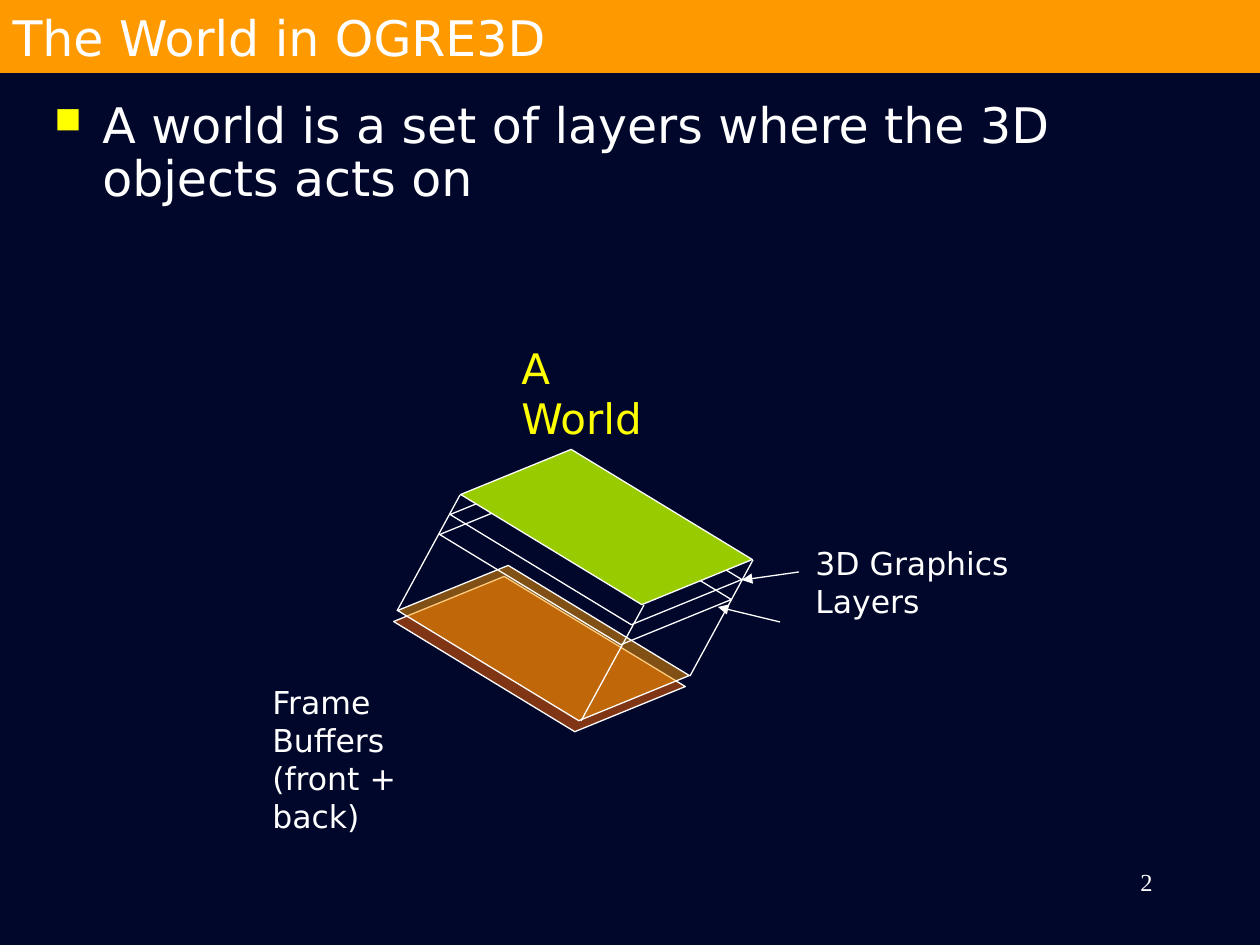
"""Builds a slide that shows a 3D world as a stack of layers."""
from pptx import Presentation, util as u
from pptx.dml.color import RGBColor
from pptx.enum import shapes, text
from pptx.oxml.ns import qn
from lxml import etree

WHITE, YELLOW, ORANGE = "FFFFFF", "FFFF00", "FF9900"


def px(n):
    return u.Emu(round(n * 914400 / 126))


def rgb(code):
    return RGBColor.from_string(code)


def add(node, tag, **attrs):
    return etree.SubElement(node, qn(tag), attrs)


def write(shape, words, size=18, color=WHITE, font="DejaVu Sans",
          align=text.PP_ALIGN.LEFT, anchor=text.MSO_ANCHOR.TOP, before=0, line=None):
    frame = shape.text_frame
    frame.text = words
    frame.word_wrap = True
    frame.auto_size = text.MSO_AUTO_SIZE.NONE
    frame.vertical_anchor = anchor
    for para in frame.paragraphs:
        para.alignment = align
        para.space_before = u.Pt(before)
        para.line_spacing = line
        para.font.size = u.Pt(size)
        para.font.name = font
        para.font.color.rgb = rgb(color)
    return frame


class Board:
    def __init__(self, deck, back):
        self.slide = deck.slides.add_slide(deck.slide_layouts[5])
        self.items = self.slide.shapes
        self.slide.background.fill.solid()
        self.slide.background.fill.fore_color.rgb = rgb(back)

    def paint(self, shape, color, alpha=None):
        shape.fill.solid()
        shape.fill.fore_color.rgb = rgb(color)
        if alpha:
            tint = shape.fill._xPr.find(qn("a:solidFill"))[0]
            add(tint, "a:alpha", val=str(alpha * 1000))

    def stroke(self, shape):
        shape.line.color.rgb = rgb(WHITE)
        shape.line.width = u.Pt(0.75)

    def title(self, words, x, y, w, h):
        head = self.items.title
        head.left, head.top, head.width, head.height = map(px, (x, y, w, h))
        self.paint(head, ORANGE)
        write(head, words, size=28, anchor=text.MSO_ANCHOR.MIDDLE)

    def label(self, words, x, y, w, h, **style):
        return write(self.items.add_textbox(*map(px, (x, y, w, h))), words, **style)

    def bullet(self, words, x, y, w, h):
        frame = self.label(words, x, y, w, h, size=28, before=7, line=0.9)
        props = frame.paragraphs[0]._p.get_or_add_pPr()
        props.set("marL", str(px(48)))
        props.set("indent", str(px(-48)))
        tint = etree.Element(qn("a:buClr"))
        add(tint, "a:srgbClr", val=YELLOW)
        size = etree.Element(qn("a:buSzPct"), val="75000")
        mark = etree.Element(qn("a:buChar"), char="■")
        spot = props.index(props.find(qn("a:spcBef"))) + 1
        props[spot:spot] = [tint, size, mark]

    def layer(self, x, y, color=None, alpha=None):
        plane = self.items.add_shape(shapes.MSO_SHAPE.PARALLELOGRAM,
                                     *map(px, (x, y, 283, 96)))
        plane.adjustments[0] = 0.74
        plane.rotation = 211.3
        plane.shadow.inherit = False
        if color:
            self.paint(plane, color, alpha)
        else:
            plane.fill.background()
        self.stroke(plane)

    def line(self, x1, y1, x2, y2, arrow=False):
        edge = self.items.add_connector(shapes.MSO_CONNECTOR.STRAIGHT,
                                        *map(px, (x1, y1, x2, y2)))
        self.stroke(edge)
        if arrow:
            add(edge.line._get_or_add_ln(), "a:tailEnd", type="triangle")
        add(edge._element.spPr, "a:effectLst")


def main():
    deck = Presentation()
    deck.slide_width, deck.slide_height = px(1260), px(945)
    board = Board(deck, "00072A")
    board.title("The World in OGRE3D", 0, 0, 1260, 73)
    board.label("2", 903, 861, 262, 63, size=14, font="Times New Roman",
                align=text.PP_ALIGN.RIGHT, before=8.8)

    board.layer(398, 606, "FF6600", 50)
    board.layer(402, 595, ORANGE, 50)
    for step, color in enumerate((None, None, "99CC00")):
        board.layer(444 + 10.5 * step, 519 - 20 * step, color)

    board.label("3D Graphics Layers", 803, 538, 309, 50)
    board.line(799, 572, 742, 580, arrow=True)
    board.line(780, 622, 718, 607, arrow=True)
    board.label("A World", 509, 336, 181, 63, size=24, color=YELLOW)
    for x, y in ((644, 605), (460, 495), (753, 560)):
        board.line(x, y, x - 63, y + 116)
    board.label("Frame Buffers\n(front + back)", 260, 677, 234, 88)
    board.bullet("A world is a set of layers where the 3D objects acts on",
                 42, 95, 1197, 158)
    deck.save("out.pptx")


if __name__ == "__main__":
    main()
